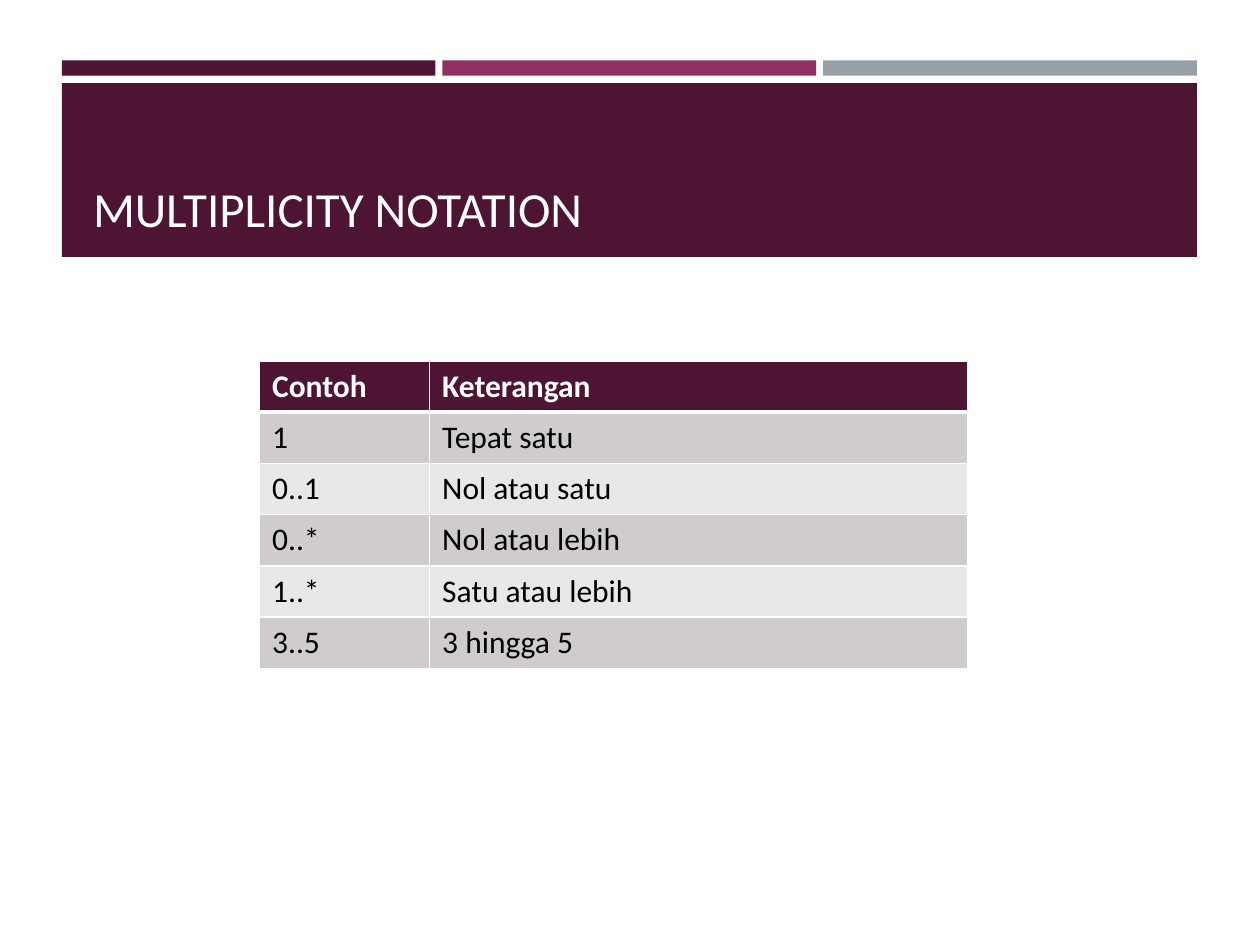
from lxml import etree
from pptx import Presentation
from pptx.dml.color import RGBColor
from pptx.enum.shapes import MSO_SHAPE
from pptx.enum.text import MSO_ANCHOR
from pptx.oxml.ns import qn
from pptx.util import Inches, Pt

RECT = MSO_SHAPE.RECTANGLE
BOTTOM = MSO_ANCHOR.BOTTOM

COLORS = {
    "plum": "4D1434",
    "berry": "903163",
    "steel": "969FA7",
    "dark": "D0CCCE",
    "light": "E9E7E8",
    "white": "FFFFFF",
    "black": "000000",
}
ROWS = [
    ("Contoh", "Keterangan"),
    ("1", "Tepat satu"),
    ("0..1", "Nol atau satu"),
    ("0..*", "Nol atau lebih"),
    ("1..*", "Satu atau lebih"),
    ("3..5", "3 hingga 5"),
]


class Deck:
    """Style and current slide; lengths are cells of a 100 by 75 grid."""

    font = "Calibri"

    def __init__(self):
        self.prs = Presentation()
        self.prs.slide_width, self.prs.slide_height = Inches(10), Inches(7.5)
        self.slide = self.prs.slides.add_slide(self.prs.slide_layouts[6])

    def size(self, cells):
        return round(cells * self.prs.slide_width / 100)

    def area(self, *cells):
        return [self.size(c) for c in cells]

    def paint(self, item, color):
        item.fill.solid()
        item.fill.fore_color.rgb = RGBColor.from_string(COLORS[color])

    def label(self, frame, text, size, color, bold=False):
        frame.text = text
        font = frame.paragraphs[0].runs[0].font
        font.name, font.size, font.bold = self.font, Pt(size), bold
        font.color.rgb = RGBColor.from_string(COLORS[color])

    def block(self, x, y, w, h, color):
        shape = self.slide.shapes.add_shape(RECT, *self.area(x, y, w, h))
        shape.shadow.inherit = False
        shape.line.fill.background()
        self.paint(shape, color)

    def title(self, x, y, w, h, text):
        frame = self.slide.shapes.add_textbox(*self.area(x, y, w, h)).text_frame
        frame.word_wrap = True
        frame.vertical_anchor = BOTTOM
        self.label(frame, text, 28, "white")

    def edge(self, cell, side, width):
        props = cell._tc.get_or_add_tcPr()
        line = etree.SubElement(props, qn(f"a:ln{side}"), w=str(Pt(width)))
        fill = etree.SubElement(line, qn("a:solidFill"))
        etree.SubElement(fill, qn("a:srgbClr"), val=COLORS["white"])

    def table(self, x, y, widths, heights, rows):
        box = self.area(x, y, sum(widths), sum(heights))
        grid = self.slide.shapes.add_table(len(rows), len(widths), *box).table
        for col, width in zip(grid.columns, widths):
            col.width = self.size(width)
        for r, texts in enumerate(rows):
            grid.rows[r].height = self.size(heights[r])
            head = r == 0
            fill = "plum" if head else ("light", "dark")[r % 2]
            for c, text in enumerate(texts):
                cell = grid.cell(r, c)
                for side in "LRTB":
                    thick = (r, side) in ((0, "B"), (1, "T"))
                    self.edge(cell, side, 3 if thick else 1)
                self.paint(cell, fill)
                self.label(cell.text_frame, text, 18,
                           "white" if head else "black", head)


def main():
    deck = Deck()
    left, width, gap = 4.9, 90.1, 0.55
    bar = (width - 2 * gap) / 3
    for i, color in enumerate(("plum", "berry", "steel")):
        deck.block(left + i * (bar + gap), 4.8, bar, 1.2, color)
    deck.block(left, 6.6, width, 13.8, "plum")
    deck.title(6.4, 7.5, 87.4, 11.8, "MULTIPLICITY NOTATION")
    deck.table(20.6, 28.7, [13.5, 42.7], [3.6] + [4.07] * 5, ROWS)
    deck.prs.save("out.pptx")


if __name__ == "__main__":
    main()
